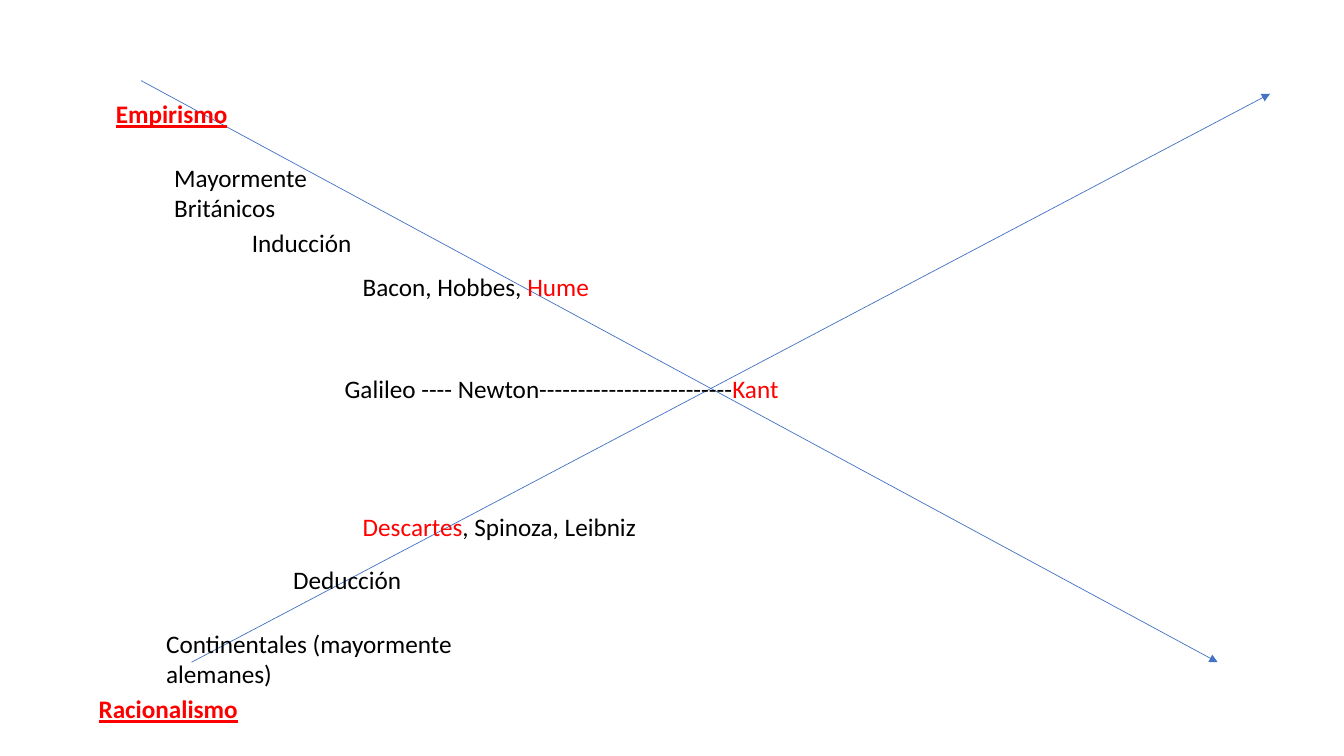
import pptx
import pptx.util
import pptx.dml.color
import pptx.enum.shapes
import pptx.enum.text
import pptx.oxml

Pt = pptx.util.Pt
RED, BLACK, BLUE = "FF0000", "000000", "4472C4"

# Arrows: start x, start y, end x, end y
ARROWS = [
    (100.8, 57.6, 869.76, 473.04),
    (136.8, 473.04, 907.2, 66.96),
]

# Labels: left, top, width, height, heading?, runs of (text, colour)
LABELS = [
    (75.6, 66.96, 138.24, 29, True, [("Empirismo", RED)]),
    (63.36, 491.76, 138.24, 29, True, [("Racionalismo", RED)]),
    (117.36, 112.32, 122.4, 51, False, [("Mayormente Británicos", BLACK)]),
    (111.6, 444.96, 280.8, 51, False,
     [("Continentales (mayormente alemanes)", BLACK)]),
    (172.8, 159.12, 312.48, 29, False, [("Inducción", BLACK)]),
    (202.32, 399.6, 312.48, 51, False, [("Deducción", BLACK)]),
    (252, 190.08, 312.48, 29, False,
     [("Bacon, Hobbes, ", BLACK), ("Hume", RED)]),
    (252, 361.44, 312.48, 29, False,
     [("Descartes", RED), (", Spinoza, Leibniz", BLACK)]),
    (239.04, 262.8, 424.08, 29, False,
     [("Galileo ---- Newton-------------------------", BLACK),
      ("Kant", RED)]),
]


def color(code):
    return pptx.dml.color.RGBColor.from_string(code)


def arrow(slide, ends):
    kind = pptx.enum.shapes.MSO_CONNECTOR.STRAIGHT
    line = slide.shapes.add_connector(kind, *map(Pt, ends))
    line.line.color.rgb = color(BLUE)
    line.line.width = Pt(0.5)
    ns = pptx.oxml.ns.nsdecls("a")
    head = pptx.oxml.parse_xml(f'<a:tailEnd {ns} type="triangle"/>')
    line.line._get_or_add_ln().append(head)
    line._element.spPr.append(pptx.oxml.parse_xml(f"<a:effectLst {ns}/>"))


def label(slide, box, heading, runs):
    frame = slide.shapes.add_textbox(*map(Pt, box)).text_frame
    frame.word_wrap = True
    frame.auto_size = pptx.enum.text.MSO_AUTO_SIZE.SHAPE_TO_FIT_TEXT
    para = frame.paragraphs[0]
    para.font.name = "Calibri"
    para.font.size = Pt(18)
    if heading:
        para.font.bold = para.font.underline = True
    for text, code in runs:
        run = para.add_run()
        run.text = text
        run.font.color.rgb = color(code)


def main():
    deck = pptx.Presentation()
    deck.slide_width, deck.slide_height = Pt(960), Pt(540)
    slide = deck.slides.add_slide(deck.slide_layouts[6])

    # Crossing arrows lie behind the labels
    for ends in ARROWS:
        arrow(slide, ends)
    for *box, heading, runs in LABELS:
        label(slide, box, heading, runs)

    deck.save("out.pptx")


if __name__ == "__main__":
    main()
